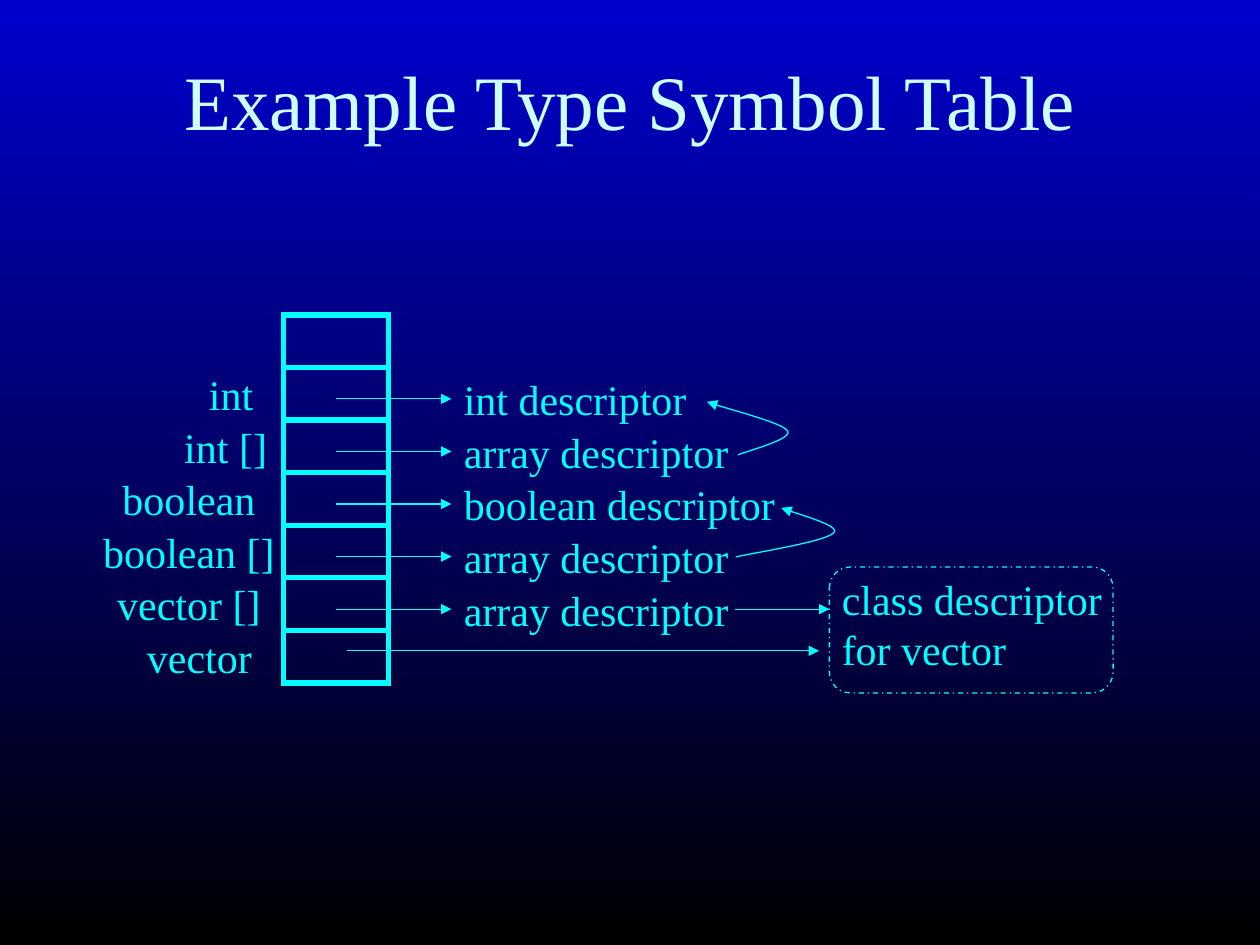
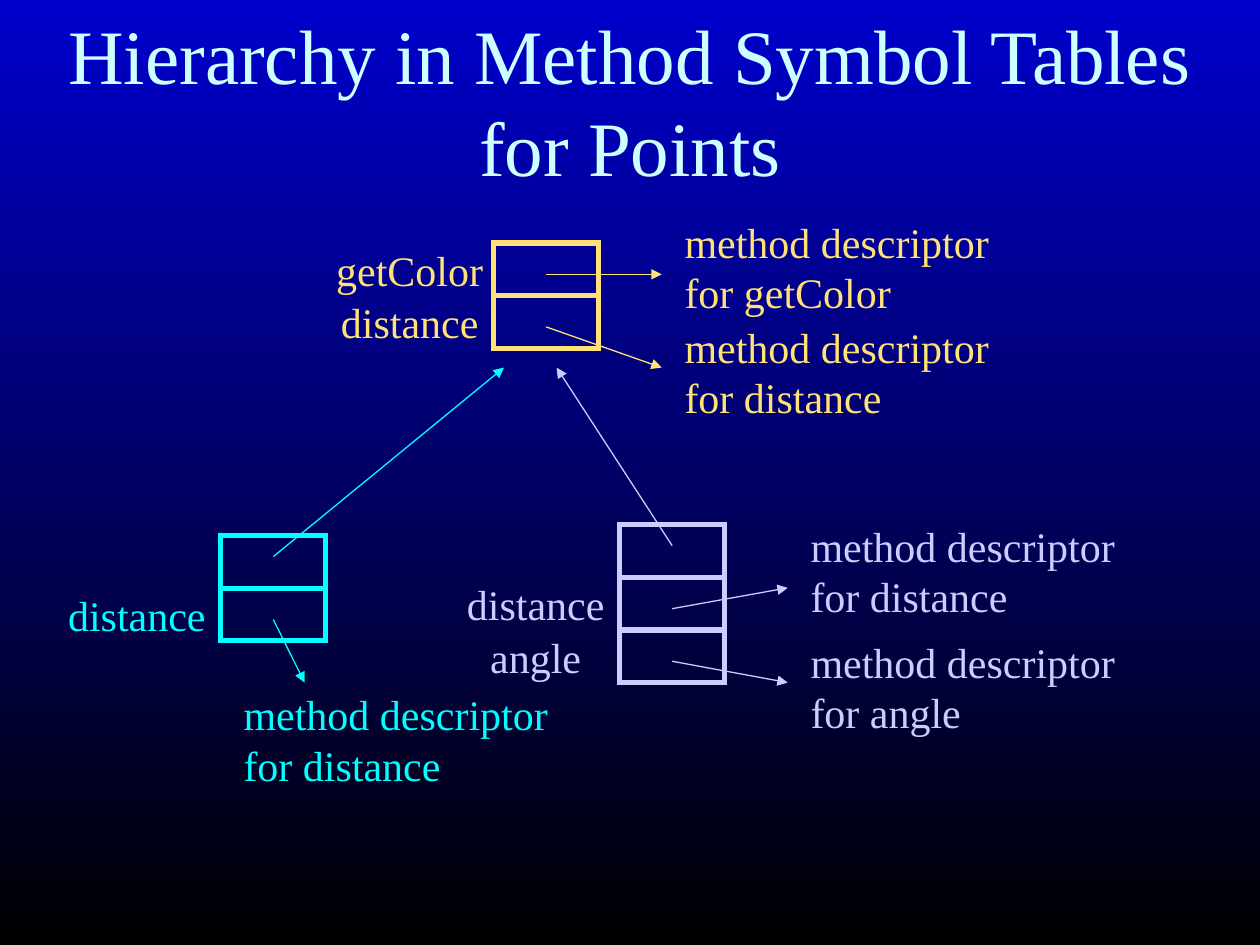
from pptx import Presentation
from pptx.dml.color import RGBColor
from pptx.enum.dml import MSO_LINE
from pptx.enum.shapes import MSO_CONNECTOR, MSO_SHAPE
from pptx.enum.text import MSO_ANCHOR, MSO_AUTO_SIZE, PP_ALIGN
from pptx.oxml.ns import qn
from pptx.util import Cm, Pt
from lxml import etree

RECT, ROUND = MSO_SHAPE.RECTANGLE, MSO_SHAPE.ROUNDED_RECTANGLE
LINE, DASH = MSO_CONNECTOR.STRAIGHT, MSO_LINE.DASH_DOT
LEFT, MID = PP_ALIGN.LEFT, PP_ALIGN.CENTER
TOP, CENTER = MSO_ANCHOR.TOP, MSO_ANCHOR.MIDDLE
FIXED, GROW = MSO_AUTO_SIZE.NONE, MSO_AUTO_SIZE.SHAPE_TO_FIT_TEXT

FONT = "Times New Roman"
COLORS = {"top": "0000CC", "base": "000000", "title": "CCFFFF",
          "cyan": "00FFFF", "gold": "FFE175", "lilac": "CCCCFF"}
CELL_W, CELL_H = 2.12, 1.06
MID_X, MID_Y = 1.06, 0.63  # where an arrow starts inside a cell


def rgb(name):
    return RGBColor.from_string(COLORS[name])


def write(frame, text, size=24, color="cyan", align=LEFT, anchor=TOP,
          fit=FIXED, wrap=False):
    frame.word_wrap, frame.auto_size = wrap, fit
    frame.vertical_anchor = anchor
    frame.text = text
    for para in frame.paragraphs:
        para.alignment = align
        for run in para.runs:
            run.font.name, run.font.size = FONT, Pt(size)
            run.font.color.rgb = rgb(color)


def bezier(a, b, c, d, steps=12):
    """Points of a cubic curve from a to d, without a itself."""
    for i in range(1, steps + 1):
        t = i / steps
        s = 1 - t
        yield tuple(s**3 * p + 3 * s * s * t * q + 3 * s * t * t * r + t**3 * e
                    for p, q, r, e in zip(a, b, c, d))


class Deck:
    def __init__(self):
        self.prs = Presentation()
        self.prs.slide_width, self.prs.slide_height = Cm(25.4), Cm(19.05)
        self.slide, self.color = None, "cyan"
        fill = self.prs.slide_master.background.fill
        fill.gradient()
        fill.gradient_angle = 270
        for stop, place, name in zip(fill.gradient_stops, (0, 1), ("top", "base")):
            stop.position, stop.color.rgb = place, rgb(name)

    def page(self, title):
        self.slide = self.prs.slides.add_slide(self.prs.slide_layouts[5])
        box = self.slide.shapes.title
        box.left, box.top, box.width, box.height = Cm(1.06), Cm(0.42), Cm(23.28), Cm(3.18)
        write(box.text_frame, title, size=44, color="title", align=MID,
              anchor=CENTER, wrap=True)

    def stroke(self, item, width=0.75, head=False):
        item.line.color.rgb = rgb(self.color)
        item.line.width = Pt(width)
        ln = item._element.spPr.find(qn("a:ln"))
        etree.SubElement(ln, qn("a:miter"), lim="800000")
        if head:
            etree.SubElement(ln, qn("a:tailEnd"), type="triangle")

    def shape(self, kind, x, y, w, h, width=0.75):
        item = self.slide.shapes.add_shape(kind, Cm(x), Cm(y), Cm(w), Cm(h))
        item.shadow.inherit = False
        item.fill.background()
        self.stroke(item, width)
        return item

    def stack(self, x, y, count):
        for i in range(count):
            self.shape(RECT, x, y + i * CELL_H, CELL_W, CELL_H, width=3)

    def text(self, text, x, y, w, h, **style):
        box = self.slide.shapes.add_textbox(Cm(x), Cm(y), Cm(w), Cm(h))
        write(box.text_frame, text, color=self.color, **style)

    def label(self, text, x, y):
        self.text(text, x, y, CELL_W, CELL_H, align=MID, anchor=CENTER)

    def note(self, text, x, y, w):
        self.text(text, x, y, w, 2.29 if "\n" in text else 1.27, fit=GROW)

    def arrow(self, x1, y1, x2, y2):
        item = self.slide.shapes.add_connector(LINE, Cm(x1), Cm(y1), Cm(x2), Cm(y2))
        self.stroke(item, head=True)
        etree.SubElement(item._element.spPr, qn("a:effectLst"))

    def curve(self, *knots):
        """Arrow along joined cubic curves; each takes three more knots."""
        dots = [dot for i in range(0, len(knots) - 1, 3)
                for dot in bezier(*knots[i:i + 4])]
        path = self.slide.shapes.build_freeform(*(Cm(v) for v in knots[0]))
        path.add_line_segments([(Cm(x), Cm(y)) for x, y in dots], close=False)
        item = path.convert_to_shape()
        item.shadow.inherit = False
        item.fill.background()
        self.stroke(item, head=True)

    def methods(self, color, x, y, rows, parent=None):
        """Method table; a parent point adds a first cell with an arrow to it."""
        self.color = color
        skip = 1 if parent else 0
        self.stack(x, y, len(rows) + skip)
        if parent:
            self.arrow(x + MID_X, y + 0.42, *parent)
        for i, (name, spot, tip) in enumerate(rows, skip):
            top = y + i * CELL_H
            self.label(name, x - 2.75, top)
            self.note(f"method descriptor\nfor {name}", *spot, 6.9)
            self.arrow(x + MID_X, top + MID_Y, *tip)


def types(deck):
    deck.page("Example Type Symbol Table")
    left, top, right = 5.72, 6.35, 9.1
    deck.stack(left, top, 7)
    rows = [("int", 3.6, "int descriptor", 5.05),
            ("int []", 3.49, "array descriptor", 5.9),
            ("boolean", 2.75, "boolean descriptor", 6.9),
            ("boolean []", 2.75, "array descriptor", 5.9),
            ("vector []", 2.75, "array descriptor", 5.9)]
    for i, (name, x, note, w) in enumerate(rows, 1):
        y = top + i * CELL_H
        deck.label(name, x, y)
        deck.note(note, right, y, w)
        deck.arrow(left + MID_X, y + MID_Y, right, y + MID_Y)
    deck.label("vector", 2.96, top + 6 * CELL_H)
    deck.arrow(6.99, 13.12, 16.51, 13.12)
    deck.arrow(14.82, 12.28, 16.72, 12.28)
    deck.note("class descriptor\nfor vector", 16.72, 11.43, 5.8)
    deck.shape(ROUND, 16.72, 11.43, 5.72, 2.54).line.dash_style = DASH
    deck.curve((14.88, 9.17), (15.06, 9.09), (15.98, 8.86), (15.88, 8.69),
               (15.77, 8.51), (14.58, 8.23), (14.25, 8.1))
    deck.curve((14.83, 11.23), (15.16, 11.15), (16.66, 10.92), (16.81, 10.74),
               (16.97, 10.59), (15.98, 10.34), (15.75, 10.24))


def points(deck):
    deck.page("Hierarchy in Method Symbol Tables for Points")
    deck.methods("gold", 9.95, 4.9,
                 [("getColor", (13.55, 4.23), (13.34, 5.53)),
                  ("distance", (13.55, 6.35), (13.34, 7.41))])
    deck.methods("cyan", 4.45, 10.8,
                 [("distance", (4.66, 13.76), (6.14, 13.76))],
                 parent=(10.16, 7.41))
    deck.methods("lilac", 12.49, 10.58,
                 [("distance", (16.09, 10.37), (15.88, 11.85)),
                  ("angle", (16.09, 12.7), (15.88, 13.76))],
                 parent=(11.22, 7.41))


def main():
    deck = Deck()
    types(deck)
    points(deck)
    deck.prs.save("out.pptx")


if __name__ == "__main__":
    main()
